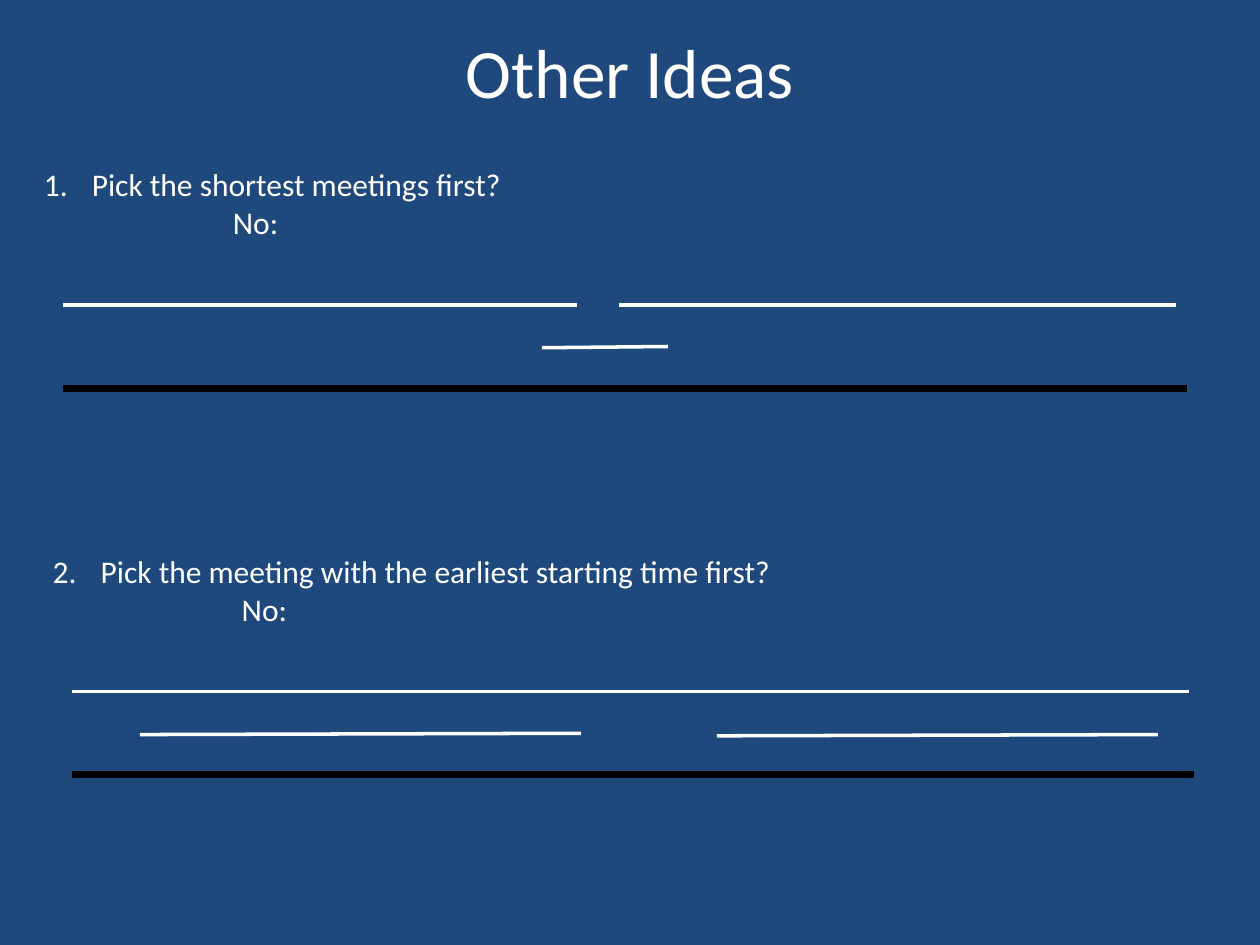
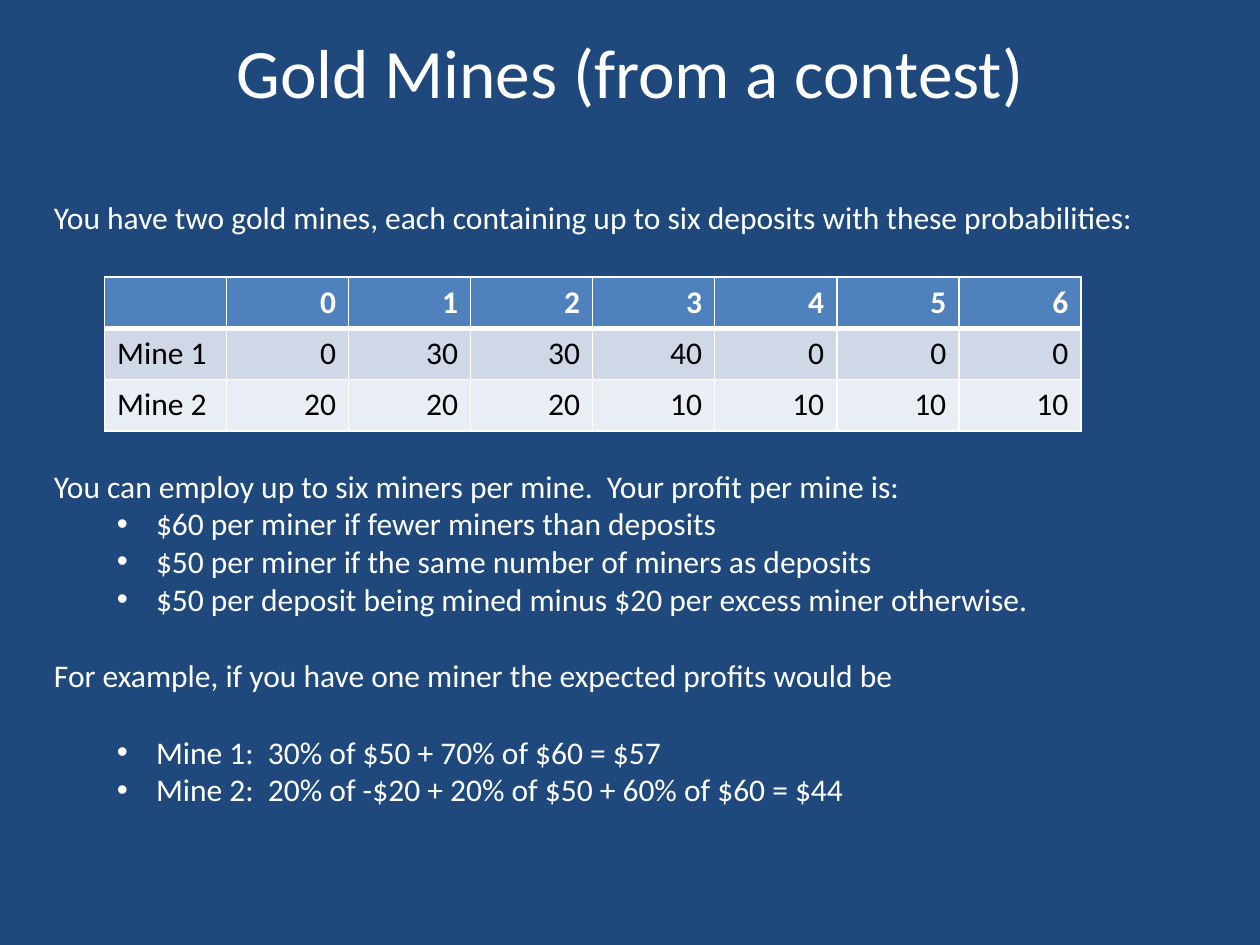
import lxml.etree
import pptx
import pptx.dml.color
import pptx.enum.shapes
import pptx.enum.text
import pptx.oxml.ns
import pptx.util

Inches = pptx.util.Inches
Pt = pptx.util.Pt
RGBColor = pptx.dml.color.RGBColor
Align = pptx.enum.text.PP_ALIGN
qn = pptx.oxml.ns.qn

# Shared colours and text formats
NAVY = RGBColor(0x1F, 0x49, 0x7D)
WHITE = RGBColor(0xFF, 0xFF, 0xFF)
BLACK = RGBColor(0x00, 0x00, 0x00)
HEADER_BLUE = RGBColor(0x4F, 0x81, 0xBD)
ROW_BLUES = [RGBColor(0xD0, 0xD8, 0xE8), RGBColor(0xE9, 0xED, 0xF4)]

TITLE_FONT = {"name": "Calibri", "size": Pt(39.6), "bold": False}
BODY_FONT = {"name": "Calibri", "size": Pt(18), "bold": False}
HEADER_FONT = {**BODY_FONT, "bold": True}
LINE_HEIGHT = 22


def write(para, text, formats, color=WHITE, align=Align.LEFT):
    para.alignment = align
    span = para.add_run()
    span.text = text
    for key, value in formats.items():
        setattr(span.font, key, value)
    span.font.color.rgb = color


def add_body(page, left, top, height, items):
    """Each item: text, left margin, first-line indent, bullet (tag, attributes), blank lines before."""
    box = page.shapes.add_textbox(Inches(left), Inches(top), Inches(9.42), Inches(height))
    box.text_frame.word_wrap = True
    for index, (text, margin, indent, bullet, gap) in enumerate(items):
        para = box.text_frame.paragraphs[0] if index == 0 else box.text_frame.add_paragraph()
        write(para, text, BODY_FONT)
        para.space_before = Pt(gap * LINE_HEIGHT)
        props = para._p.get_or_add_pPr()
        props.set("marL", str(Inches(margin)))
        props.set("indent", str(Inches(indent)))
        if bullet:
            tag, attributes = bullet
            if tag == "a:buChar":
                lxml.etree.SubElement(props, qn("a:buFont"), typeface="Arial")
            lxml.etree.SubElement(props, qn(tag), **attributes)


deck = pptx.Presentation()
deck.slide_width = Inches(10)
deck.slide_height = Inches(7.5)

# Pages with background and title
pages = []
for heading in ["Other Ideas", "Gold Mines (from a contest)"]:
    page = deck.slides.add_slide(deck.slide_layouts[5])
    page.background.fill.solid()
    page.background.fill.fore_color.rgb = NAVY
    title = page.shapes.title
    place = {"left": 0.5, "top": 0.17, "width": 9, "height": 0.78}
    for side, length in place.items():
        setattr(title, side, Inches(length))
    title.text_frame.auto_size = pptx.enum.text.MSO_AUTO_SIZE.NONE
    title.text_frame.vertical_anchor = pptx.enum.text.MSO_ANCHOR.MIDDLE
    write(title.text_frame.paragraphs[0], heading, TITLE_FONT, align=Align.CENTER)
    pages.append(page)
ideas_page, mines_page = pages

# Ideas: question, time axis, and meetings as (x1, y1, x2, y2)
ideas = [
    ("Pick the shortest meetings first?", 0.25, 1.26, (0.5, 3.08, 9.42, 3.08),
     [(0.5, 2.42, 4.58, 2.42), (4.91, 2.42, 9.33, 2.42), (4.3, 2.76, 5.3, 2.75)]),
    ("Pick the meeting with the earliest starting time first?", 0.32, 4.33, (0.57, 6.15, 9.48, 6.15),
     [(0.57, 5.49, 9.44, 5.49), (1.11, 5.83, 4.61, 5.82), (5.69, 5.84, 9.19, 5.83)]),
]
for number, (question, left, top, axis, meetings) in enumerate(ideas, start=1):
    numbering = ("a:buAutoNum", {"type": "arabicPeriod", "startAt": str(number)})
    add_body(ideas_page, left, top, 0.71, [
        (question, 0.38, -0.38, numbering, 0),
        ("No:", 1.5, 0, None, 0),
    ])
    strokes = [(axis, BLACK, 4)] + [(meeting, WHITE, 2) for meeting in meetings]
    for ends, color, weight in strokes:
        line = ideas_page.shapes.add_connector(
            pptx.enum.shapes.MSO_CONNECTOR.STRAIGHT, *[Inches(value) for value in ends])
        line.line.color.rgb = color
        line.line.width = Pt(weight)
        lxml.etree.SubElement(line._element.spPr, qn("a:effectLst"))

# Gold mines: rules and example
DOT = (0.81, -0.31, ("a:buChar", {"char": "•"}))
PLAIN = (0, 0, None)
add_body(mines_page, 0.33, 1.52, 4.95, [
    ("You have two gold mines, each containing up to six deposits with these probabilities:", *PLAIN, 0),
    ("You can employ up to six miners per mine.  Your profit per mine is:", *PLAIN, 6),
    ("$60 per miner if fewer miners than deposits", *DOT, 0),
    ("$50 per miner if the same number of miners as deposits", *DOT, 0),
    ("$50 per deposit being mined minus $20 per excess miner otherwise.", *DOT, 0),
    ("For example, if you have one miner the expected profits would be", *PLAIN, 1),
    ("Mine 1:  30% of $50 + 70% of $60 = $57", *DOT, 1),
    ("Mine 2:  20% of -$20 + 20% of $50 + 60% of $60 = $44", *DOT, 0),
])

# Gold mines: probability table
rows = [
    ["", *range(7)],
    ["Mine 1", 0, 30, 30, 40, 0, 0, 0],
    ["Mine 2", 20, 20, 20, 10, 10, 10, 10],
]
table = mines_page.shapes.add_table(
    len(rows), len(rows[0]), Inches(0.83), Inches(2.2), Inches(7.75), Inches(1.22)).table
for row_index, row in enumerate(rows):
    is_header = row_index == 0
    for column_index, value in enumerate(row):
        cell = table.cell(row_index, column_index)
        if value != "":
            write(cell.text_frame.paragraphs[0], str(value),
                  HEADER_FONT if is_header else BODY_FONT,
                  WHITE if is_header else BLACK,
                  Align.RIGHT if column_index else Align.LEFT)
        # Borders go before the fill; the rule under the header is heavier
        props = cell._tc.get_or_add_tcPr()
        weights = {"L": 1, "R": 1, "T": 3 if row_index == 1 else 1, "B": 3 if is_header else 1}
        for side, weight in weights.items():
            border = lxml.etree.SubElement(props, qn(f"a:ln{side}"), w=str(Pt(weight)))
            paint = lxml.etree.SubElement(border, qn("a:solidFill"))
            lxml.etree.SubElement(paint, qn("a:srgbClr"), val=str(WHITE))
        cell.fill.solid()
        cell.fill.fore_color.rgb = HEADER_BLUE if is_header else ROW_BLUES[row_index - 1]

deck.save("out.pptx")
